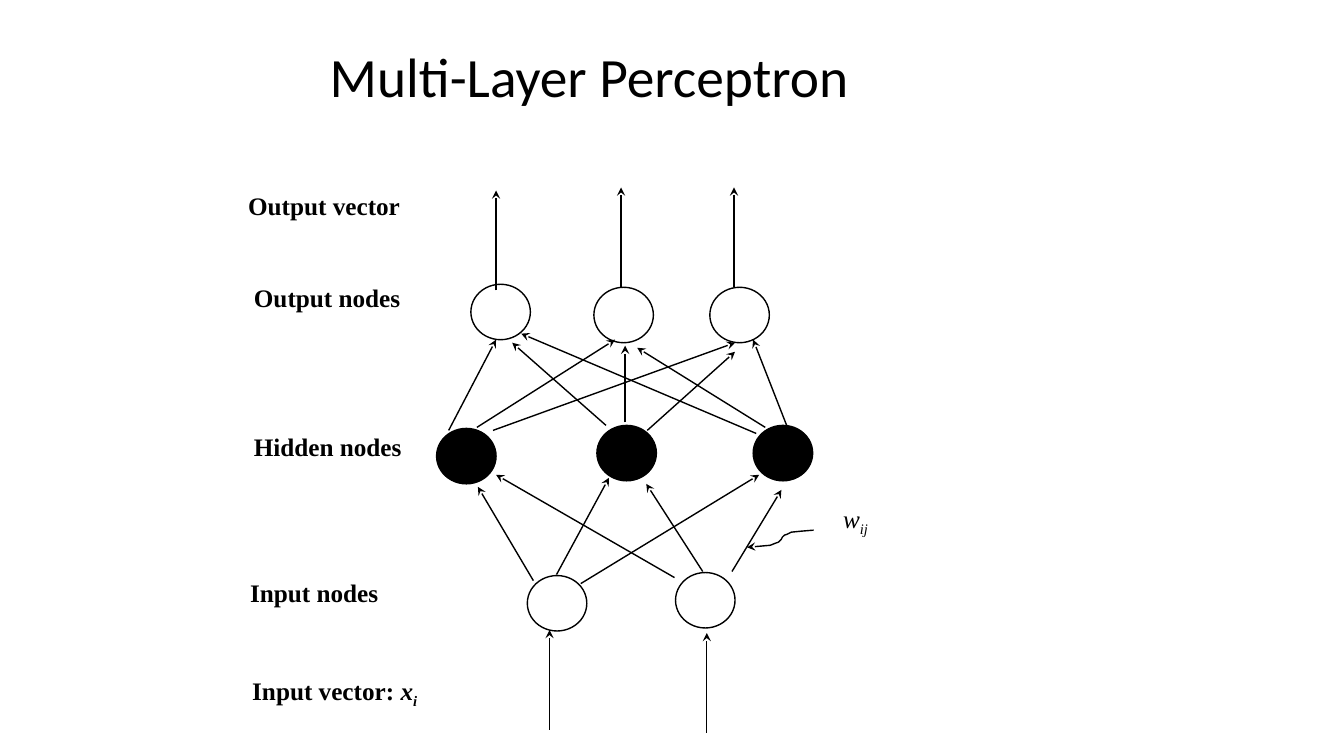
from dataclasses import dataclass

from lxml import etree
from pptx import Presentation
from pptx.dml.color import RGBColor
from pptx.enum.shapes import MSO_CONNECTOR, MSO_SHAPE
from pptx.enum.text import MSO_ANCHOR, MSO_AUTO_SIZE, PP_ALIGN
from pptx.oxml.ns import qn
from pptx.util import Inches, Pt

STRAIGHT, OVAL = MSO_CONNECTOR.STRAIGHT, MSO_SHAPE.OVAL
LEFT, CENTER, MIDDLE = PP_ALIGN.LEFT, PP_ALIGN.CENTER, MSO_ANCHOR.MIDDLE
FIT_SHAPE, NO_FIT = MSO_AUTO_SIZE.SHAPE_TO_FIT_TEXT, MSO_AUTO_SIZE.NONE


@dataclass(frozen=True)
class Theme:
    ink: RGBColor = RGBColor(0, 0, 0)
    title_font: str = "Calibri"
    label_font: str = "Times New Roman"
    title_size: float = 39.6
    label_size: float = 18
    line_width: float = 1


THEME = Theme()
CELL = 0.1  # inches per grid cell
NODE_WIDTH, NODE_HEIGHT = 5.9, 5.5
LABEL_HEIGHT = 4
SIGNAL_LENGTH = 9.9

# Node corners, in cells from the network's corner
OUTPUT_NODES = [(3.7, 10.2), (15.9, 10.5), (27.4, 10.5)]
HIDDEN_NODES = [(0.3, 24.5), (16.2, 24.2), (31.7, 24.2)]
INPUT_NODES = [(9.3, 39.1), (24, 38.8)]

# Arrow ends: x and y of the start, x and y of the tip
INPUT_WEIGHTS = [
    (9.9, 39.6, 4.4, 30.3), (12.2, 39, 17.4, 29.4), (14.6, 39.9, 32.3, 29.1),
    (23.9, 39.3, 6.2, 29.1), (26.7, 38.7, 21.1, 30), (29.6, 38.7, 34.5, 30.6),
]
HIDDEN_WEIGHTS = [
    (1.5, 24.7, 6.2, 15.7), (4.3, 24.4, 18, 15.7), (5.9, 24.7, 29.9, 16),
    (32, 25, 8.7, 15.1), (35.1, 24.4, 31.7, 15.7), (32.9, 24.4, 20.2, 16.5),
    (17.1, 24.2, 7.8, 16), (19, 23.9, 19, 16.3), (21.2, 24.7, 29.9, 16.9),
]
SIGNAL_STARTS = [(11.5, 54.4), (27.1, 54.7), (6.2, 10.8), (18.6, 10.5), (29.8, 10.5)]

# Left, top, width and (text, italic, subscript) parts of each row label
ROW_LABELS = [
    (0, 0.4, 17.3, [("Output vector", False, False)]),
    (0.6, 9.5, 16.7, [("Output nodes", False, False)]),
    (0.6, 24.3, 16.8, [("Hidden nodes", False, False)]),
    (0.2, 38.8, 14.9, [("Input nodes", False, False)]),
    (0.4, 48.5, 18.6, [("Input vector: ", False, False), ("x", True, False),
                       ("i", True, True)]),
]
WEIGHT_LABEL = (8.5, 0.4, 4.7, [("w", True, False), ("ij", True, True)])
WEIGHT_POINTER = [
    (6.7, 3.6), (5.5, 3.7), (4.5, 3.8), (4.1, 4), (3.8, 4.1), (3.6, 4.3), (3.5, 4.5),
    (3.4, 4.6), (3.2, 4.8), (2.9, 4.9), (2.4, 5.1), (1.3, 5.2), (0.1, 5.3),
]


def cells(*lengths):
    return [Inches(length * CELL) for length in lengths]


def style_line(line, arrow=False):
    line.color.rgb = THEME.ink
    line.width = Pt(THEME.line_width)
    if arrow:
        ln = line.color and line._get_or_add_ln()
        etree.SubElement(ln, qn("a:tailEnd"), type="stealth")


def add_node(shapes, x, y, filled):
    node = shapes.add_shape(OVAL, *cells(x, y, NODE_WIDTH, NODE_HEIGHT))
    node.shadow.inherit = False
    if filled:
        node.fill.solid()
        node.fill.fore_color.rgb = THEME.ink
    else:
        node.fill.background()
    style_line(node.line)


def add_arrow(shapes, x1, y1, x2, y2):
    arrow = shapes.add_connector(STRAIGHT, *cells(x1, y1, x2, y2))
    style_line(arrow.line, arrow=True)
    etree.SubElement(arrow._element.spPr, qn("a:effectLst"))


def add_label(shapes, x, y, width, parts, bold):
    frame = shapes.add_textbox(*cells(x, y, width, LABEL_HEIGHT)).text_frame
    frame.word_wrap = False
    frame.auto_size = FIT_SHAPE
    paragraph = frame.paragraphs[0]
    paragraph.alignment = CENTER
    font = paragraph.font
    font.name, font.size, font.bold = THEME.label_font, Pt(THEME.label_size), bold
    font.color.rgb = THEME.ink
    for text, italic, subscript in parts:
        run = paragraph.add_run()
        run.text = text
        if italic:
            run.font.italic = True
        if subscript:
            run.font._element.set("baseline", "-25000")


def set_title(slide, x, y, width, height):
    title = slide.shapes.title
    title.left, title.top, title.width, title.height = cells(x, y, width, height)
    frame = title.text_frame
    frame.text = "Multi-Layer Perceptron"
    frame.vertical_anchor = MIDDLE
    frame.auto_size = NO_FIT
    paragraph = frame.paragraphs[0]
    paragraph.alignment = LEFT
    paragraph.line_spacing = 0.9
    font = paragraph.font
    font.name, font.size = THEME.title_font, Pt(THEME.title_size)
    font.color.rgb = THEME.ink


def draw_network(slide, left, top):
    shapes = slide.shapes.add_group_shape().shapes
    for layer in (OUTPUT_NODES, HIDDEN_NODES, INPUT_NODES):
        for x, y in layer:
            add_node(shapes, left + x, top + y, filled=layer is HIDDEN_NODES)
    signals = [(x, y, x, y - SIGNAL_LENGTH) for x, y in SIGNAL_STARTS]
    for x1, y1, x2, y2 in INPUT_WEIGHTS + HIDDEN_WEIGHTS + signals:
        add_arrow(shapes, left + x1, top + y1, left + x2, top + y2)


def label_rows(slide, left, top):
    for x, y, width, parts in ROW_LABELS:
        add_label(slide.shapes, left + x, top + y, width, parts, bold=True)


def mark_weight(slide, left, top):
    """Label one connection's weight and point to it with a curved arrow."""
    x, y, width, parts = WEIGHT_LABEL
    add_label(slide.shapes, left + x, top + y, width, parts, bold=False)
    start, *bends = [cells(left + px, top + py) for px, py in WEIGHT_POINTER]
    builder = slide.shapes.build_freeform(*start)
    builder.add_line_segments(bends, close=False)
    pointer = builder.convert_to_shape()
    pointer.shadow.inherit = False
    pointer.fill.background()
    style_line(pointer.line, arrow=True)


def main():
    presentation = Presentation()
    presentation.slide_width, presentation.slide_height = Inches(13.33), Inches(7.5)
    title_only = presentation.slide_layouts[5]
    slide = presentation.slides.add_slide(title_only)
    set_title(slide, 31.7, 5, 63.3, 5.8)
    draw_network(slide, 43, 18)
    label_rows(slide, 23.5, 18)
    mark_weight(slide, 74, 49)
    presentation.save("out.pptx")


if __name__ == "__main__":
    main()
